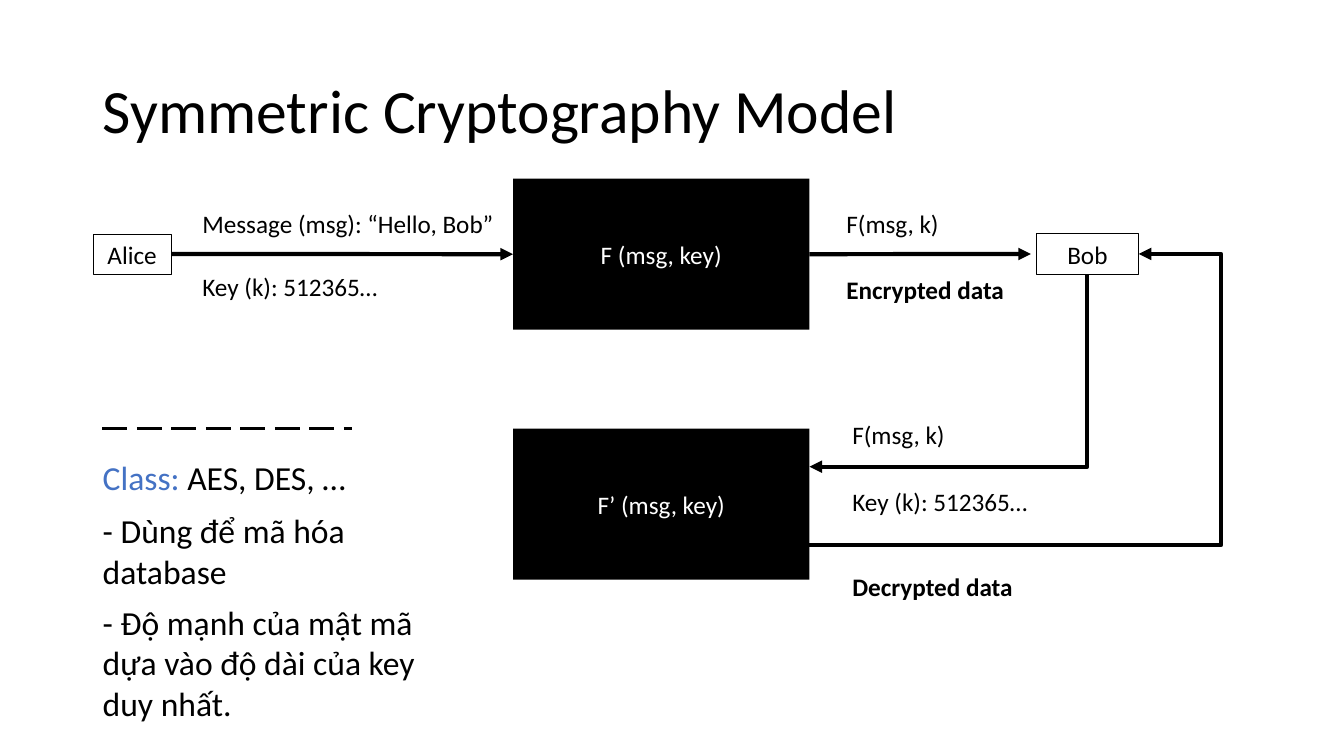
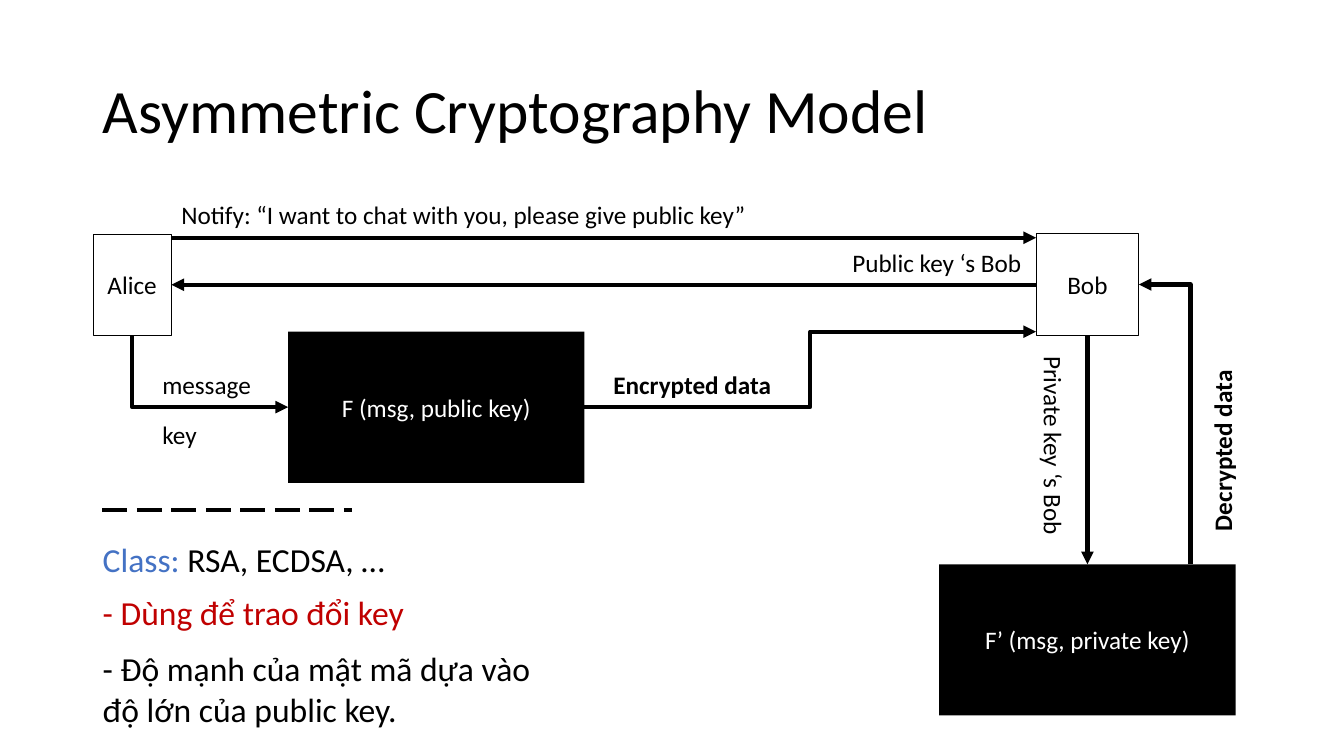
from lxml.etree import SubElement
from pptx import Presentation
from pptx.dml.color import RGBColor
from pptx.enum.dml import MSO_LINE
from pptx.enum.shapes import MSO_CONNECTOR as CONN, MSO_SHAPE as SHAPE
from pptx.enum.text import MSO_ANCHOR as ANCHOR, MSO_AUTO_SIZE as AUTO, PP_ALIGN as ALIGN
from pptx.oxml.ns import qn
from pptx.util import Cm, Pt

BLACK = RGBColor(0x00, 0x00, 0x00)
WHITE = RGBColor(0xFF, 0xFF, 0xFF)
BLUE = RGBColor(0x44, 0x72, 0xC4)
RED = RGBColor(0xC0, 0x00, 0x00)
FONT = "Calibri"
TOP, LEFT, BOTTOM, RIGHT = range(4)
ALICE_X, BOB_X, PEOPLE_Y = 2.34, 26.11, 5.89
ALICE_W, BOB_W = 1.98, 2.59
FUNC_W, FUNC_H = 7.47, 3.81
LABEL_H = 1.02

SLIDES = [
    {
        "title": "Symmetric Cryptography Model",
        "people_h": 1.02,
        "functions": {
            "encrypt": ("F (msg, key)", 12.93, 4.5),
            "decrypt": ("F’ (msg, key)", 12.93, 10.8),
        },
        "joined": [("alice", RIGHT, "encrypt", LEFT)],
        "straight": [((20.4, 6.4), (25.98, 6.4))],
        "corners": [((27.4, 6.91), (20.4, 11.76))],
        "elbows": [((20.4, 13.74), (28.7, 6.4), 1.25)],
        "labels": [
            ("Message (msg): “Hello, Bob”", 4.85, 5.13, 8.76, 0, False),
            ("Key (k): 512365…", 4.85, 6.71, 6.68, 0, False),
            ("F(msg, k)", 21.08, 5.13, 4, 0, False),
            ("Encrypted data", 21.08, 6.78, 5, 0, True),
            ("F(msg, k)", 21.23, 10.44, 4, 0, False),
            ("Key (k): 512365…", 21.23, 12.12, 5.5, 0, False),
            ("Decrypted data", 21.23, 14.27, 5, 0, True),
        ],
        "rule_y": 10.8,
        "notes": [
            ([("Class:", BLUE), (" AES, DES, …", BLACK)], 11.4, 9.75, 1.27),
            ([("- Dùng để mã hóa database", BLACK)], 12.73, 9.75, 2.31),
            ([("- Độ mạnh của mật mã dựa vào độ dài của key duy nhất.", BLACK)],
             15.04, 9.22, 3.33),
        ],
    },
    {
        "title": "Asymmetric Cryptography Model",
        "people_h": 2.57,
        "functions": {
            "encrypt": ("F (msg, public key)", 7.26, 8.36),
            "decrypt": ("F’ (msg, private key)", 23.67, 14.22),
        },
        "joined": [("bob", LEFT, "alice", RIGHT), ("bob", BOTTOM, "decrypt", TOP)],
        "straight": [((4.32, 5.99), (26.11, 5.99))],
        "corners": [((3.33, 8.46), (7.26, 10.26)), ((30, 14.22), (28.7, 7.17))],
        "elbows": [((14.73, 10.26), (26.11, 8.36), 0.5)],
        "labels": [
            ("Notify: “I want to chat with you, please give public key”",
             4.32, 4.9, 17.42, 0, False),
            ("Public key ‘s Bob", 21.23, 6.12, 5, 0, False),
            ("message", 3.84, 9.19, 2.9, 0, False),
            ("key", 3.84, 10.44, 2.9, 0, False),
            ("Encrypted data", 15.21, 9.19, 5, 0, True),
            ("Private key ‘s Bob", 23.95, 10.82, 5.21, 90, False),
            ("Decrypted data", 28.3, 10.62, 5, 270, True),
        ],
        "rule_y": 12.85,
        "notes": [
            ([("Class:", BLUE), (" RSA, ECDSA, …", BLACK)], 13.46, 9.75, 1.27),
            ([("- Dùng để trao đổi key", RED)], 14.78, 10.36, 1.27),
            ([("- Độ mạnh của mật mã dựa vào độ lớn của public key.", BLACK)],
             16.21, 11.43, 2.31),
        ],
    },
]


def set_font(p, size, color=BLACK, bold=False):
    p.font.name = FONT
    p.font.size = Pt(size)
    p.font.bold = bold
    p.font.color.rgb = color


def add_title(slide, text):
    sp = slide.shapes.title
    sp.left, sp.top, sp.width, sp.height = Cm(2.34), Cm(1.02), Cm(29.21), Cm(3.68)
    tf = sp.text_frame
    tf.text = text
    tf.vertical_anchor = ANCHOR.MIDDLE
    tf.auto_size = AUTO.NONE
    p = tf.paragraphs[0]
    p.alignment = ALIGN.LEFT
    p.line_spacing = 0.9
    set_font(p, 44)


def add_box(slide, text, x, y, w, h, fill=None, line=None):
    sp = slide.shapes.add_shape(SHAPE.RECTANGLE, Cm(x), Cm(y), Cm(w), Cm(h))
    sp.shadow.inherit = False
    if fill is None:
        sp.fill.background()
    else:
        sp.fill.solid()
        sp.fill.fore_color.rgb = fill
    if line is None:
        sp.line.fill.background()
    else:
        sp.line.color.rgb = BLACK
        sp.line.width = Pt(line)
    tf = sp.text_frame
    tf.text = text
    tf.word_wrap = True
    tf.vertical_anchor = ANCHOR.MIDDLE
    p = tf.paragraphs[0]
    p.alignment = ALIGN.CENTER
    set_font(p, 18, BLACK if fill is None else WHITE)
    return sp


def add_text(slide, x, y, w, h):
    sp = slide.shapes.add_textbox(Cm(x), Cm(y), Cm(w), Cm(h))
    sp.text_frame.word_wrap = True
    return sp, sp.text_frame.paragraphs[0]


def add_label(slide, text, x, y, w, rotation, bold):
    sp, p = add_text(slide, x, y, w, LABEL_H)
    sp.rotation = rotation
    p.text = text
    set_font(p, 18, bold=bold)


def add_note(slide, runs, y, w, h):
    sp, p = add_text(slide, ALICE_X, y, w, h)
    for text, color in runs:
        r = p.add_run()
        r.text = text
        r.font.color.rgb = color
    set_font(p, 24)


def add_line(slide, start, end, kind=CONN.STRAIGHT, width=3, arrow=True):
    cx = slide.shapes.add_connector(kind, *(Cm(v) for v in (*start, *end)))
    cx.line.color.rgb = BLACK
    cx.line.width = Pt(width)
    SubElement(cx._element.spPr, qn("a:effectLst"))
    if arrow:
        SubElement(cx.line._get_or_add_ln(), qn("a:tailEnd"), type="triangle")
    return cx


def add_elbow(slide, start, end, bend):
    cx = add_line(slide, start, end, CONN.ELBOW)
    guides = cx._element.spPr.find(qn("a:prstGeom")).get_or_add_avLst()
    SubElement(guides, qn("a:gd"), name="adj1", fmla=f"val {round(bend * 100000)}")


def add_corner(slide, start, end):
    (x1, y1), (x2, y2) = start, end
    w, h = abs(y2 - y1), abs(x2 - x1)
    cx = add_line(slide, start, end, CONN.ELBOW)
    cx.left, cx.top = Cm((x1 + x2 - w) / 2), Cm((y1 + y2 - h) / 2)
    cx.width, cx.height = Cm(w), Cm(h)
    cx._element.spPr.find(qn("a:prstGeom")).set("prst", "bentConnector2")
    down, leftward = y2 > y1, x2 < x1
    half_turn = down and leftward
    xfrm = cx._element.spPr.find(qn("a:xfrm"))
    xfrm.set("rot", str((90 if half_turn else 270) * 60000))
    xfrm.set("flipH", str(int(down and not half_turn)))
    xfrm.set("flipV", str(int(leftward and not half_turn)))


def build_slide(prs, data):
    slide = prs.slides.add_slide(prs.slide_layouts[5])
    add_title(slide, data["title"])
    h = data["people_h"]
    boxes = {
        "alice": add_box(slide, "Alice", ALICE_X, PEOPLE_Y, ALICE_W, h, line=0.25),
        "bob": add_box(slide, "Bob", BOB_X, PEOPLE_Y, BOB_W, h, line=0.75),
    }
    for name, (text, x, y) in data["functions"].items():
        boxes[name] = add_box(slide, text, x, y, FUNC_W, FUNC_H, fill=BLACK)
    for source, source_side, target, target_side in data["joined"]:
        cx = add_line(slide, (0, 0), (1, 1))
        cx.begin_connect(boxes[source], source_side)
        cx.end_connect(boxes[target], target_side)
    for start, end in data["straight"]:
        cx = add_line(slide, start, end)
        if data["people_h"] == LABEL_H:
            cx.begin_connect(boxes["encrypt"], RIGHT)
    for corner in data["corners"]:
        add_corner(slide, *corner)
    for elbow in data["elbows"]:
        add_elbow(slide, *elbow)
    for label in data["labels"]:
        add_label(slide, *label)
    y = data["rule_y"]
    rule = add_line(slide, (2.58, y), (8.86, y), width=2.25, arrow=False)
    rule.line.dash_style = MSO_LINE.LONG_DASH
    for note in data["notes"]:
        add_note(slide, *note)


def main():
    prs = Presentation()
    prs.slide_width, prs.slide_height = Cm(33.87), Cm(19.05)
    for data in SLIDES:
        build_slide(prs, data)
    prs.save("out.pptx")


if __name__ == "__main__":
    main()
